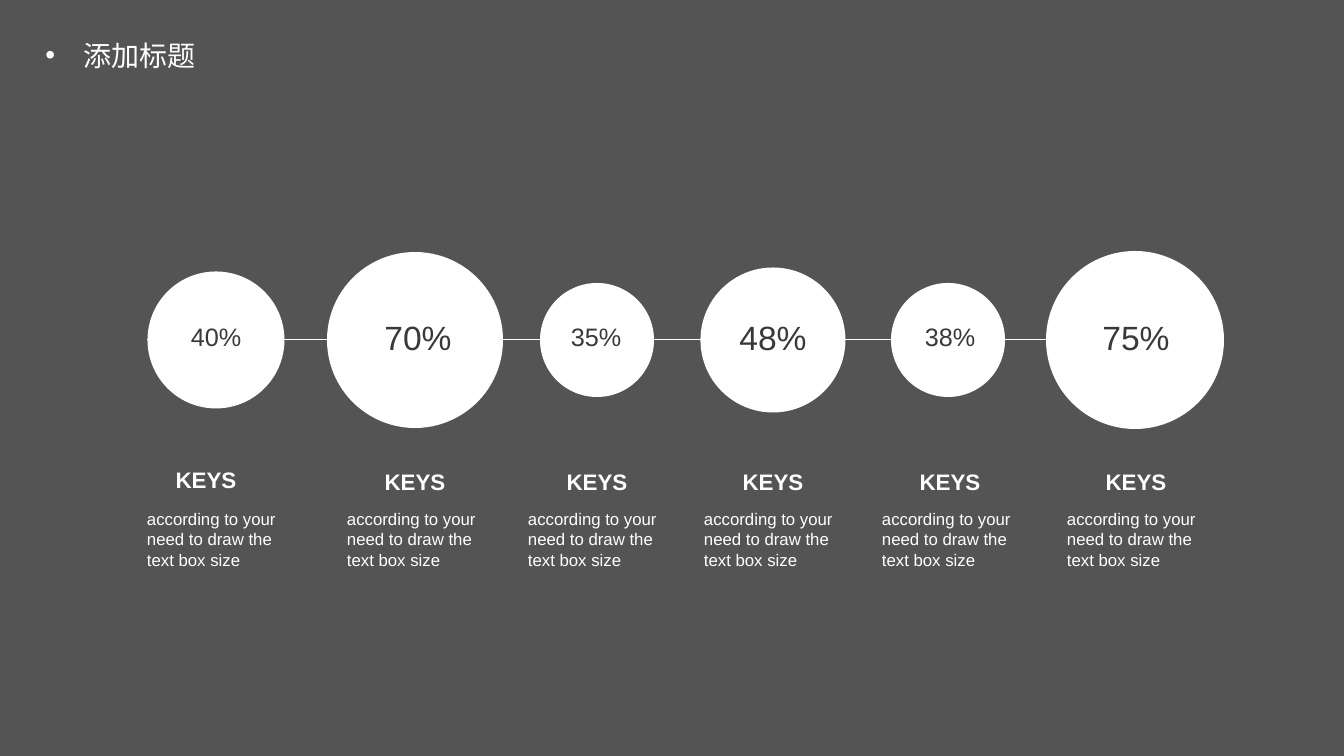
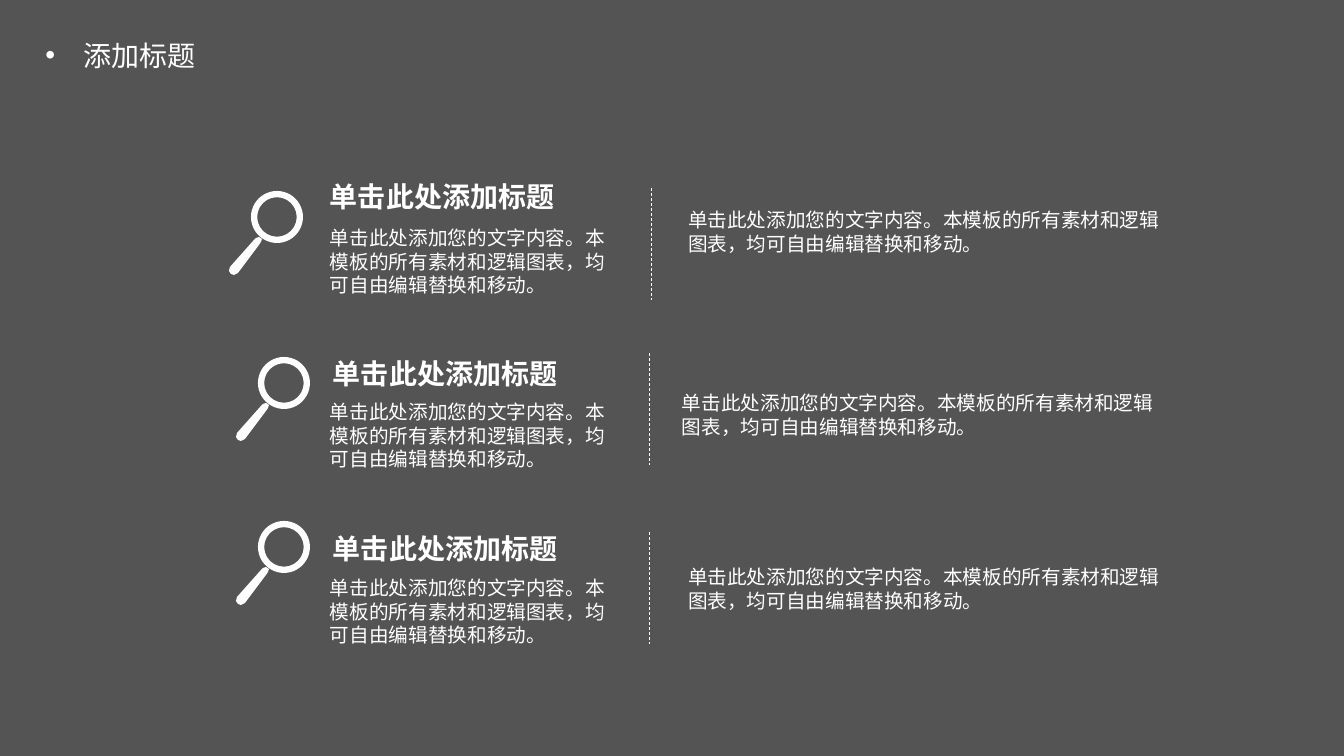
"""Builds two dark slides: a chain of percentage circles and three search rows."""
from lxml import etree
from pptx import Presentation
from pptx.dml.color import RGBColor
from pptx.enum.dml import MSO_LINE
from pptx.enum.shapes import MSO_CONNECTOR, MSO_SHAPE
from pptx.enum.text import MSO_ANCHOR, MSO_AUTO_SIZE, PP_ALIGN
from pptx.oxml.ns import qn
from pptx.util import Pt

LEFT, CENTER = PP_ALIGN.LEFT, PP_ALIGN.CENTER
TOP, NO_FIT = MSO_ANCHOR.TOP, MSO_AUTO_SIZE.NONE
OVAL, DONUT = MSO_SHAPE.OVAL, MSO_SHAPE.DONUT
STRAIGHT, DASH = MSO_CONNECTOR.STRAIGHT, MSO_LINE.DASH

SCALE = 12192000 / 1344
SLIDE_W, SLIDE_H = 1344, 756
COLORS = {"back": "545454", "white": "FFFFFF", "icon": "FDFDFD", "dark": "3B3838"}
LATIN, CJK = "Arial", "Noto Sans CJK SC"

TITLE = "添加标题"
KEY = "KEYS"
KEY_BODY = "according to your need to draw the text box size"
HEADING = "单击此处添加标题"
BODY = "单击此处添加您的文字内容。本模板的所有素材和逻辑图表，均可自由编辑替换和移动。"

CIRCLES = [
    dict(value="40%", size=18, center=216, d=137, label=216, key=206, key_dy=126, body=147),
    dict(value="70%", size=24, center=415, d=176, label=418, key=415, key_dy=128, body=347),
    dict(value="35%", size=18, center=597, d=114, label=596, key=597, key_dy=128, body=528),
    dict(value="48%", size=24, center=773, d=145, label=773, key=773, key_dy=128, body=704),
    dict(value="38%", size=18, center=948, d=114, label=950, key=950, key_dy=128, body=882),
    dict(value="75%", size=24, center=1135, d=178, label=1136, key=1136, key_dy=128, body=1067),
]
ROWS = [
    dict(top=174, icon=(0, 17), head=91, body=47, rule=(422, 14), note=(449, 29)),
    dict(top=351, icon=(7, 6), head=94, body=44, rule=(420, 2), note=(443, 35)),
    dict(top=526, icon=(7, -5), head=94, body=45, rule=(420, 6), note=(449, 34)),
]
ROW_LEFT = 229
HANDLE = [(25, 49), (1, 76), (0, 80), (2, 83), (5, 84), (9, 82), (30, 54),
          (32, 51), (33, 48), (30, 46), (27, 47)]


def px(n):
    """Turn pixels into EMU."""
    return round(n * SCALE)


def rgb(name):
    """Look up a colour by name."""
    return RGBColor.from_string(COLORS[name])


def write(tf, text, size=14, font=CJK, color="white", bold=False, align=LEFT,
          inset=(10, 5), wrap=True):
    """Write one formatted paragraph into a text frame."""
    tf.word_wrap = wrap
    tf.auto_size = NO_FIT
    tf.vertical_anchor = TOP
    tf.margin_left = tf.margin_right = px(inset[0])
    tf.margin_top = tf.margin_bottom = px(inset[1])
    p = tf.paragraphs[0]
    p.alignment = align
    r = p.add_run()
    r.text = text
    r.font.size = Pt(size)
    r.font.bold = bold
    r.font.color.rgb = rgb(color)
    r.font.name = font
    ea = etree.SubElement(r._r.get_or_add_rPr(), qn("a:ea"))
    ea.set("typeface", font)
    return p


def add_text(s, box, text, **fmt):
    """Add a text box at a pixel box."""
    write(s.shapes.add_textbox(*map(px, box)).text_frame, text, **fmt)


def paint(sp, color):
    """Give a shape a flat fill without outline or shadow."""
    sp.shadow.inherit = False
    sp.fill.solid()
    sp.fill.fore_color.rgb = rgb(color)
    sp.line.fill.background()


def add_line(s, x1, y1, x2, y2, color, width, dash=None):
    """Add a straight connector without shadow."""
    sp = s.shapes.add_connector(STRAIGHT, *map(px, (x1, y1, x2, y2)))
    sp.line.color.rgb = rgb(color)
    sp.line.width = Pt(width)
    if dash:
        sp.line.dash_style = dash
    etree.SubElement(sp._element.spPr, qn("a:effectLst"))


def add_slide(prs):
    """Add a slide with the shared bulleted title."""
    s = prs.slides.add_slide(prs.slide_layouts[5])
    sp = s.shapes.title
    sp.left, sp.top, sp.width, sp.height = map(px, (31, 33, 179, 44))
    p = write(sp.text_frame, TITLE, size=20, align=CENTER)
    pPr = p._p.get_or_add_pPr()
    pPr.set("marL", str(px(38)))
    pPr.set("indent", str(-px(38)))
    etree.SubElement(pPr, qn("a:buFont")).set("typeface", LATIN)
    etree.SubElement(pPr, qn("a:buChar")).set("char", "•")
    return s


def add_circle(s, mid, value, size, center, d, label, key, key_dy, body):
    """Place a circle, its percentage and its caption around a middle line."""
    sp = s.shapes.add_shape(OVAL, *map(px, (center - d / 2, mid - d / 2, d, d)))
    paint(sp, "white")
    h = 35 if size == 18 else 45
    add_text(s, (label - 67, mid - 4 - h / 2, 134, h), value, size=size, font=LATIN,
             color="dark", align=CENTER, inset=(5, 3))
    add_text(s, (key - 129, mid + key_dy, 258, 27), KEY, size=16, font=LATIN,
             bold=True, align=CENTER, inset=(0, 0))
    add_text(s, (body, mid + 169, 152, 62), KEY_BODY, size=12, font=LATIN, inset=(0, 0))


def add_magnifier(s, x, y):
    """Draw a magnifier from a ring and a tapered handle."""
    ring = s.shapes.add_shape(DONUT, *map(px, (x + 22, y, 52, 52)))
    ring.adjustments[0] = 0.12
    fb = s.shapes.build_freeform(*HANDLE[0], scale=SCALE)
    fb.add_line_segments(HANDLE[1:], close=True)
    for sp in (ring, fb.convert_to_shape(px(x), px(y))):
        paint(sp, "icon")


def add_row(s, x, top, icon, head, body, rule, note):
    """Place icon, heading, body, dashed rule and note relative to a row corner."""
    add_magnifier(s, x + icon[0], top + icon[1])
    add_text(s, (x + head, top, 247, 44), HEADING, size=20, bold=True, wrap=False)
    add_text(s, (x + 91, top + body, 307, 82), BODY)
    rule_x, rule_y = x + rule[0], top + rule[1]
    add_line(s, rule_x, rule_y, rule_x, rule_y + 112, "icon", 0.5, DASH)
    add_text(s, (x + note[0], top + note[1], 505, 58), BODY)


def build_circles(prs):
    """Build the slide with the chain of circles."""
    s = add_slide(prs)
    mid = 340
    add_line(s, 147, mid, 1224, mid, "white", 0.75)
    for circle in CIRCLES:
        add_circle(s, mid, **circle)


def build_rows(prs):
    """Build the slide with the search rows."""
    s = add_slide(prs)
    for row in ROWS:
        add_row(s, ROW_LEFT, **row)


def main():
    """Build and save the presentation."""
    prs = Presentation()
    prs.slide_width, prs.slide_height = px(SLIDE_W), px(SLIDE_H)
    fill = prs.slide_master.background.fill
    fill.solid()
    fill.fore_color.rgb = rgb("back")
    build_circles(prs)
    build_rows(prs)
    prs.save("out.pptx")


if __name__ == "__main__":
    main()
